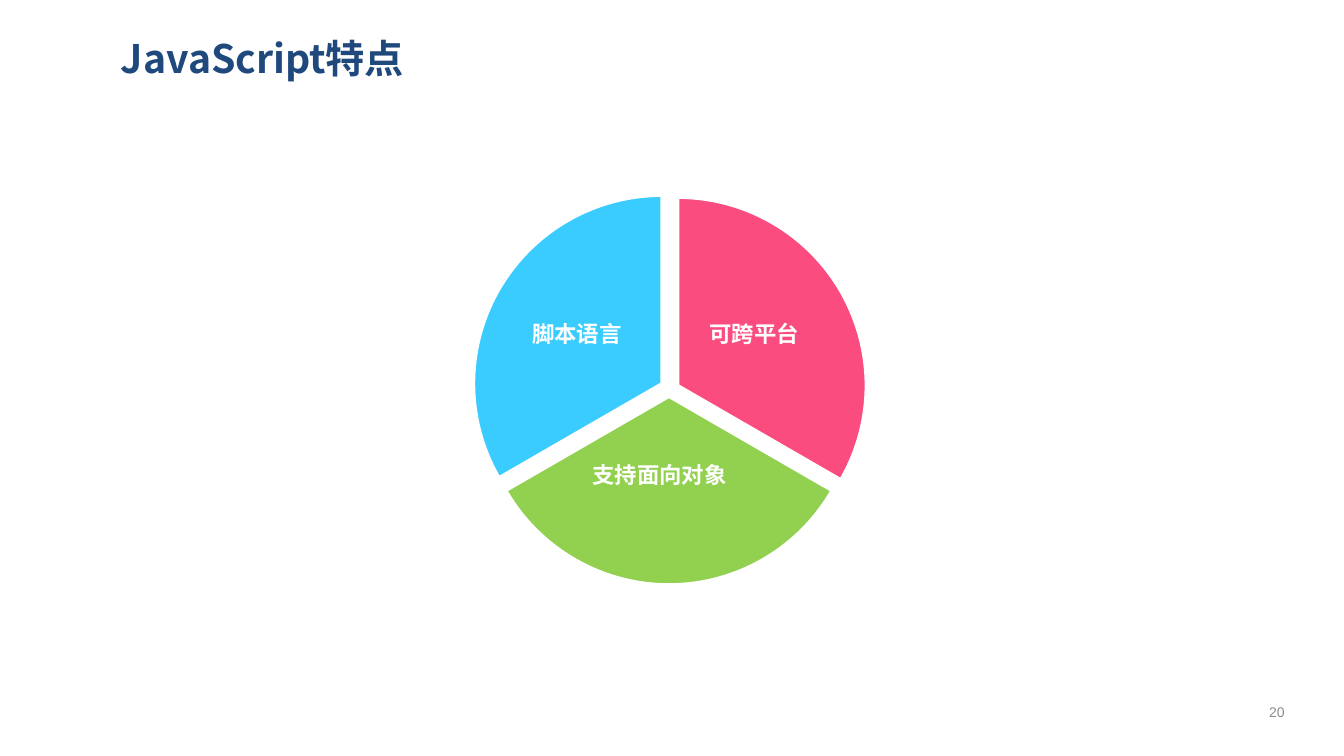
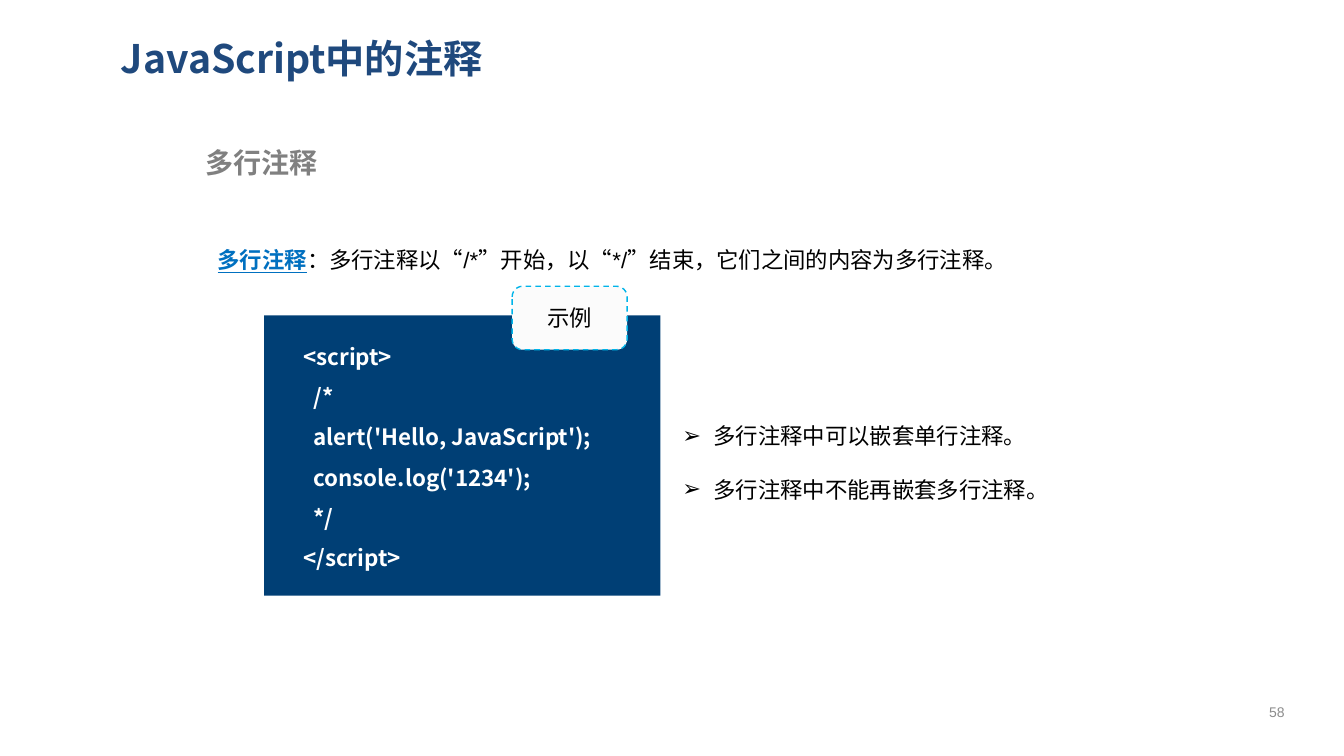
"""Build two slides on the traits and the comments of JavaScript."""
from dataclasses import dataclass
from typing import NamedTuple

from lxml.etree import SubElement
from pptx import Presentation
from pptx.dml.color import RGBColor
from pptx.enum.dml import MSO_LINE
from pptx.enum.shapes import MSO_SHAPE
from pptx.enum.text import MSO_ANCHOR, MSO_AUTO_SIZE, PP_ALIGN
from pptx.oxml.ns import qn
from pptx.util import Pt

SCALE = 9144
SANS = "Noto Sans CJK SC"
ARIAL = "Arial"
NAVY = RGBColor(0x1F, 0x49, 0x7D)
GREY = RGBColor(0x80, 0x80, 0x80)
PALE = RGBColor(0x8C, 0x8C, 0x8C)
WHITE = RGBColor(0xFF, 0xFF, 0xFF)
BLACK = RGBColor(0x00, 0x00, 0x00)
SKY = RGBColor(0x3B, 0xCC, 0xFF)
PINK = RGBColor(0xFA, 0x4C, 0x7E)
GREEN = RGBColor(0x92, 0xD0, 0x50)
LINK = RGBColor(0x00, 0x70, 0xC0)
DEEP = RGBColor(0x00, 0x3F, 0x75)
CYAN = RGBColor(0x00, 0xB4, 0xE9)
SNOW = RGBColor(0xFB, 0xFB, 0xFB)
DISC = 373


class Box(NamedTuple):
    left: int
    top: int
    width: int
    height: int

    def emu(self) -> list[int]:
        return [side * SCALE for side in self]


@dataclass(frozen=True)
class Style:
    size: int
    color: RGBColor
    face: str = ARIAL
    bold: bool = False
    under: bool = False


@dataclass(frozen=True)
class Wedge:
    text: str
    fill: RGBColor
    left: int
    top: int
    start: int
    label: Box


class Span(NamedTuple):
    text: str
    style: Style


TITLE = Style(28, NAVY, SANS, True)
PAGE = Style(10, PALE)
LABEL = Style(16, WHITE, bold=True)
HEAD = Style(20, GREY, SANS, True)
TERM = Style(16, LINK, bold=True, under=True)
BODY = Style(16, BLACK)
CODE = Style(16, WHITE, SANS, True)

WEDGES = [
    Wedge("脚本语言", SKY, 470, 194, 150, Box(518, 313, 121, 40)),
    Wedge("可跨平台", PINK, 486, 196, 270, Box(694, 313, 122, 40)),
    Wedge("支持面向对象", GREEN, 477, 207, 30, Box(578, 453, 173, 40)),
]
LINES = [
    "<script>",
    "  /*",
    "  alert('Hello, JavaScript');",
    "  console.log('1234');",
    "  */",
    "</script>",
]
NOTES = ["多行注释中可以嵌套单行注释。", "多行注释中不能再嵌套多行注释。"]


def add_run(para, span: Span) -> None:
    run = para.add_run()
    run.text = span.text
    font, style = run.font, span.style
    font.size = Pt(style.size)
    font.bold = style.bold
    font.underline = style.under
    font.color.rgb = style.color
    font.name = style.face
    SubElement(font._element, qn("a:ea"), typeface=SANS)


def add_mark(para) -> None:
    props = para._p.get_or_add_pPr()
    props.set("marL", str(31 * SCALE))
    props.set("indent", str(-31 * SCALE))
    SubElement(props, qn("a:buFont"), typeface=ARIAL)
    SubElement(props, qn("a:buChar"), char="➢")


def write(frame, rows: list[list[Span]], space: float = 1,
          align: PP_ALIGN = PP_ALIGN.LEFT, mark: bool = False) -> None:
    for num, row in enumerate(rows):
        para = frame.add_paragraph() if num else frame.paragraphs[0]
        if mark:
            add_mark(para)
        para.alignment = align
        para.line_spacing = space
        for span in row:
            add_run(para, span)


def add_text(shapes, box: Box, rows: list[list[Span]], space: float = 1,
             wrap: bool = True, mark: bool = False) -> None:
    frame = shapes.add_textbox(*box.emu()).text_frame
    frame.word_wrap = wrap
    frame.auto_size = MSO_AUTO_SIZE.SHAPE_TO_FIT_TEXT
    write(frame, rows, space, mark=mark)


def add_form(shapes, kind: MSO_SHAPE, box: Box, fill: RGBColor,
             line: RGBColor | None = None, width: int = 1):
    form = shapes.add_shape(kind, *box.emu())
    form.shadow.inherit = False
    form.fill.solid()
    form.fill.fore_color.rgb = fill
    if line is None:
        form.line.fill.background()
    else:
        form.line.color.rgb = line
        form.line.width = Pt(width)
    return form


def add_slide(deck, title: str, page: str):
    slide = deck.slides.add_slide(deck.slide_layouts[5])
    head = slide.shapes.title
    head.left, head.top, head.width, head.height = Box(110, 24, 1165, 67).emu()
    head.text_frame.vertical_anchor = MSO_ANCHOR.MIDDLE
    head.text_frame.auto_size = MSO_AUTO_SIZE.NONE
    write(head.text_frame, [[Span(title, TITLE)]])
    foot = slide.shapes.add_textbox(*Box(1234, 686, 65, 40).emu()).text_frame
    foot.word_wrap = True
    foot.vertical_anchor = MSO_ANCHOR.MIDDLE
    write(foot, [[Span(page, PAGE)]], align=PP_ALIGN.CENTER)
    return slide.shapes


def add_wedge(shapes, wedge: Wedge) -> None:
    group = shapes.add_group_shape().shapes
    box = Box(wedge.left, wedge.top, DISC, DISC)
    pie = add_form(group, MSO_SHAPE.PIE, box, wedge.fill, WHITE, 2)
    pie.adjustments[0] = wedge.start * 0.6
    pie.adjustments[1] = (wedge.start + 120) % 360 * 0.6
    add_text(group, wedge.label, [[Span(wedge.text, LABEL)]], wrap=False)


def draw_traits(deck) -> None:
    shapes = add_slide(deck, "JavaScript特点", "20")
    for wedge in WEDGES:
        add_wedge(shapes, wedge)


def draw_notes(deck) -> None:
    shapes = add_slide(deck, "JavaScript中的注释", "58")
    add_text(shapes, Box(194, 139, 922, 44), [[Span("多行注释", HEAD)]])
    rule = "：多行注释以“/*”开始，以“*/”结束，它们之间的内容为多行注释。"
    add_text(shapes, Box(206, 213, 941, 61),
             [[Span("多行注释", TERM), Span(rule, BODY)]], 2)
    group = shapes.add_group_shape().shapes
    add_form(group, MSO_SHAPE.RECTANGLE, Box(262, 313, 393, 278), DEEP)
    add_text(group, Box(291, 322, 376, 252),
             [[Span(line, CODE)] for line in LINES], 1.5)
    add_text(shapes, Box(667, 387, 500, 122),
             [[Span(note, BODY)] for note in NOTES], 2, mark=True)
    tag = add_form(shapes, MSO_SHAPE.ROUNDED_RECTANGLE,
                   Box(508, 284, 114, 63), SNOW, CYAN)
    tag.line.dash_style = MSO_LINE.DASH
    tag.text_frame.vertical_anchor = MSO_ANCHOR.MIDDLE
    write(tag.text_frame, [[Span("示例", BODY)]], align=PP_ALIGN.CENTER)


def main() -> None:
    deck = Presentation()
    deck.slide_width, deck.slide_height = 1333 * SCALE, 750 * SCALE
    draw_traits(deck)
    draw_notes(deck)
    deck.save("out.pptx")


if __name__ == "__main__":
    main()
